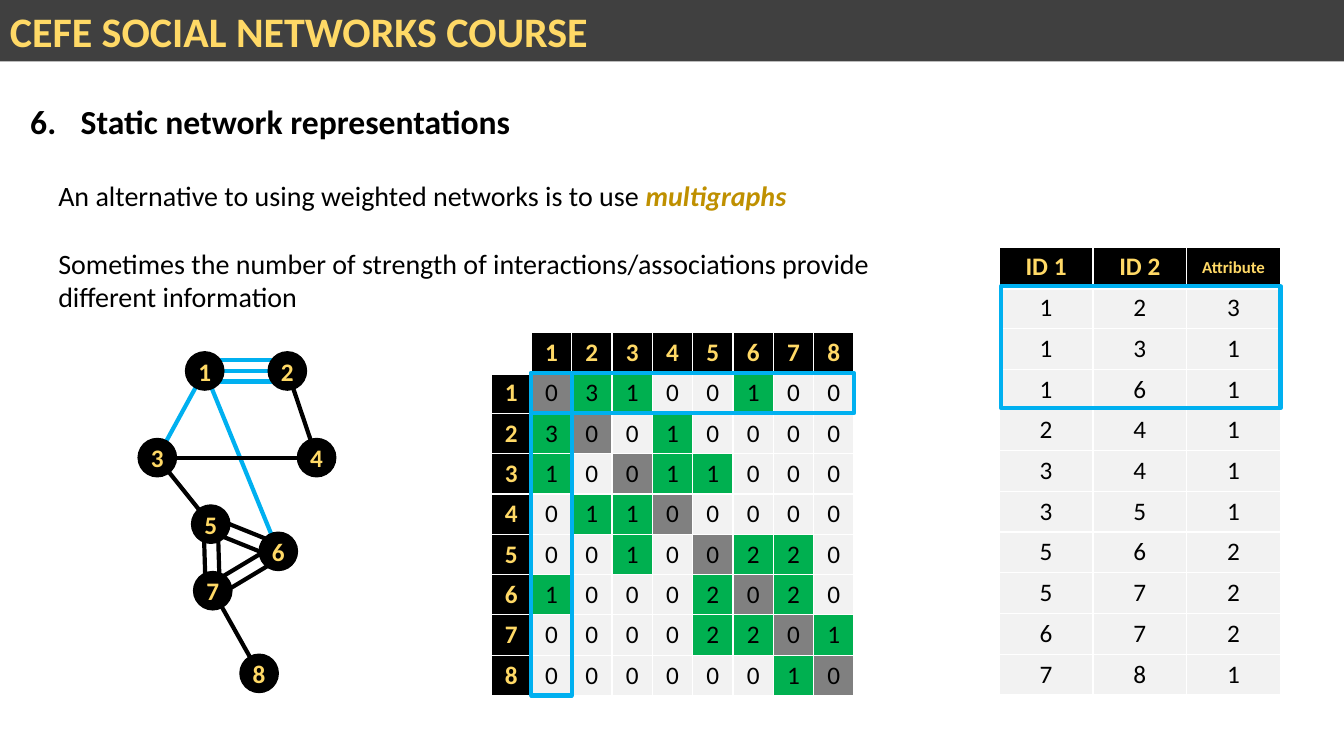
from math import hypot

from lxml.etree import SubElement
from pptx import Presentation
from pptx.dml.color import RGBColor
from pptx.enum.shapes import MSO_CONNECTOR as Connector, MSO_SHAPE as Shape
from pptx.enum.text import MSO_ANCHOR as Anchor, MSO_AUTO_SIZE as AutoSize, PP_ALIGN as Align
from pptx.oxml.ns import qn
from pptx.util import Inches, Pt

BLACK, WHITE, GOLD, BLUE = "000000", "FFFFFF", "FFD966", "00B0F0"
GREEN, GREY, PALE, CHARCOAL, OCHRE = "00B050", "808080", "F2F2F2", "404040", "BF9000"
TIES = [(1, 2, 3), (1, 3, 1), (1, 6, 1), (2, 4, 1), (3, 4, 1),
        (3, 5, 1), (5, 6, 2), (5, 7, 2), (6, 7, 2), (7, 8, 1)]
NODES = {1: (20.3, 36.8), 2: (28.5, 36.8), 3: (15.6, 45.4), 4: (31.4, 45.4),
         5: (20.9, 52), 6: (27.6, 54.7), 7: (21.1, 58.6), 8: (25.7, 66.8)}
NODE_SIZE = 3.8
CELL = 4
MATRIX_LEFT, MATRIX_TOP = 48.7, 33


def color(value):
    """Turn a hex string into a colour."""
    return RGBColor.from_string(value)


def cells(count):
    """Convert grid columns or rows, ten to the inch, to a length."""
    return Inches(count / 10)


class Deck:
    """Holds the font, the presentation and the current slide."""

    font = "Calibri"

    def __init__(self):
        """Open a slide with the title-only layout."""
        self.deck = Presentation()
        self.deck.slide_width, self.deck.slide_height = Inches(13.33), Inches(7.5)
        self.slide = self.deck.slides.add_slide(self.deck.slide_layouts[5])

    def style(self, paragraph, size, ink=BLACK, bold=False, align=Align.LEFT):
        """Format a paragraph and its runs."""
        paragraph.alignment = align
        for run in paragraph.runs:
            run.font.name, run.font.size, run.font.bold = self.font, Pt(size), bold
            run.font.color.rgb = color(ink)

    def title(self, text, number, box):
        """Place the numbered title."""
        heading = self.slide.shapes.title
        heading.left, heading.top, heading.width, heading.height = map(cells, box)
        frame = heading.text_frame
        frame.text = text
        frame.auto_size, frame.vertical_anchor = AutoSize.NONE, Anchor.TOP
        paragraph = frame.paragraphs[0]
        props = paragraph._p.get_or_add_pPr()
        props.set("marL", str(Inches(0.5)))
        props.set("indent", str(-Inches(0.5)))
        SubElement(props, qn("a:buFont"), typeface="+mj-lt")
        SubElement(props, qn("a:buAutoNum"), type="arabicPeriod", startAt=str(number))
        self.style(paragraph, 24, bold=True)

    def shape(self, kind, box, fill=None, line=None, weight=1):
        """Draw a flat preset shape."""
        shape = self.slide.shapes.add_shape(kind, *map(cells, box))
        shape.shadow.inherit = False
        if fill:
            shape.fill.solid()
            shape.fill.fore_color.rgb = color(fill)
        else:
            shape.fill.background()
        if line:
            shape.line.color.rgb = color(line)
            shape.line.width = Pt(weight)
        else:
            shape.line.fill.background()
        return shape

    def banner(self, text):
        """Draw the full-width course banner."""
        frame = self.shape(Shape.RECTANGLE, (0, 0, 133.3, 6.1), CHARCOAL).text_frame
        frame.text = text
        self.style(frame.paragraphs[0], 30, GOLD, True)

    def node(self, label, center):
        """Draw a numbered node."""
        x, y = (value - NODE_SIZE / 2 for value in center)
        frame = self.shape(Shape.OVAL, (x, y, NODE_SIZE, NODE_SIZE), BLACK, BLACK).text_frame
        frame.margin_left = frame.margin_right = frame.margin_top = frame.margin_bottom = 0
        frame.word_wrap = False
        frame.text = str(label)
        self.style(frame.paragraphs[0], 18, GOLD, True, Align.CENTER)

    def tie(self, start, end, strength, ink):
        """Draw one parallel line for each unit of strength."""
        (x1, y1), (x2, y2) = start, end
        length = hypot(x2 - x1, y2 - y1)
        gap = 0.7 * strength / max(strength - 1, 1)
        for step in range(strength):
            shift = (step - (strength - 1) / 2) * gap
            dx, dy = shift * (y1 - y2) / length, shift * (x2 - x1) / length
            ends = map(cells, (x1 + dx, y1 + dy, x2 + dx, y2 + dy))
            line = self.slide.shapes.add_connector(Connector.STRAIGHT, *ends)
            line.line.color.rgb = color(ink)
            line.line.width = Pt(3)
            SubElement(line._element.spPr, qn("a:effectLst"))

    def body(self, box, paragraphs):
        """Write paragraphs, each a list of text and emphasis pairs."""
        frame = self.slide.shapes.add_textbox(*map(cells, box)).text_frame
        frame.word_wrap = True
        for index, parts in enumerate(paragraphs):
            paragraph = frame.add_paragraph() if index else frame.paragraphs[0]
            if index:
                paragraph.space_before = Pt(24.4)
            for text, _ in parts:
                paragraph.add_run().text = text
            self.style(paragraph, 20)
            for run, (_, emphasis) in zip(paragraph.runs, parts):
                if emphasis:
                    run.font.bold = run.font.italic = True
                    run.font.color.rgb = color(OCHRE)

    def table(self, left, top, width, height, rows):
        """Build a table from rows of (text, fill, ink, size)."""
        box = map(cells, (left, top, width * len(rows[0]), height * len(rows)))
        table = self.slide.shapes.add_table(len(rows), len(rows[0]), *box).table
        table.first_row = table.horz_banding = False
        for column in table.columns:
            column.width = cells(width)
        for r, row in enumerate(rows):
            table.rows[r].height = cells(height)
            for c, (text, fill, ink, size) in enumerate(row):
                cell = table.cell(r, c)
                cell.text = str(text)
                cell.vertical_anchor = Anchor.MIDDLE
                cell.margin_top = cell.margin_bottom = cells(0.4)
                self.style(cell.text_frame.paragraphs[0], size, ink, ink == GOLD, Align.CENTER)
                heavy = {(0, "B"), (1, "T")}
                for side in "LRTB":
                    weight = 3 if (r, side) in heavy else 1
                    border = SubElement(cell._tc.get_or_add_tcPr(), qn(f"a:ln{side}"), w=str(Pt(weight)))
                    paint = SubElement(border, qn("a:solidFill"))
                    SubElement(paint, qn("a:srgbClr"), val=WHITE)
                cell.fill.solid()
                cell.fill.fore_color.rgb = color(fill)


def header(text, size=18):
    """Describe a header cell."""
    return text, BLACK, GOLD, size


def matrix_rows():
    """Derive the adjacency matrix from the ties."""
    strengths = {pair: n for a, b, n in TIES for pair in ((a, b), (b, a))}
    rows = [[("", WHITE, BLACK, 18)] + [header(node) for node in NODES]]
    for a in NODES:
        row = [header(a)]
        for b in NODES:
            strength = strengths.get((a, b), 0)
            fill = GREY if a == b else GREEN if strength else PALE
            row.append((strength, fill, BLACK, 18))
        rows.append(row)
    return rows


def main():
    """Build the multigraph slide."""
    page = Deck()
    page.banner("CEFE SOCIAL NETWORKS COURSE")
    page.title("Static network representations", 6, (2, 9.5, 127.8, 9.1))
    page.body((4.8, 17.2, 92.6, 14.5), [
        [("An alternative to using weighted networks is to use ", False), ("multigraphs", True)],
        [("Sometimes the number of strength of interactions/associations provide "
          "different information", False)]])
    for a, b, strength in TIES:
        page.tie(NODES[a], NODES[b], strength, BLUE if a == 1 else BLACK)
    for label, center in NODES.items():
        page.node(label, center)
    page.table(MATRIX_LEFT, MATRIX_TOP, CELL, CELL, matrix_rows())
    edge_list = [[header("ID 1"), header("ID 2"), header("Attribute", 12)]]
    edge_list += [[(value, PALE, BLACK, 18) for value in tie] for tie in TIES]
    page.table(99.1, 24.5, 9.3, 4.04, edge_list)
    first_cell = MATRIX_LEFT + CELL, MATRIX_TOP + CELL
    span = CELL * len(NODES)
    for box in ((*first_cell, span, CELL), (*first_cell, CELL, span), (99.3, 28.4, 27.7, 12.1)):
        page.shape(Shape.RECTANGLE, box, line=BLUE, weight=3)
    page.deck.save("out.pptx")


if __name__ == "__main__":
    main()
